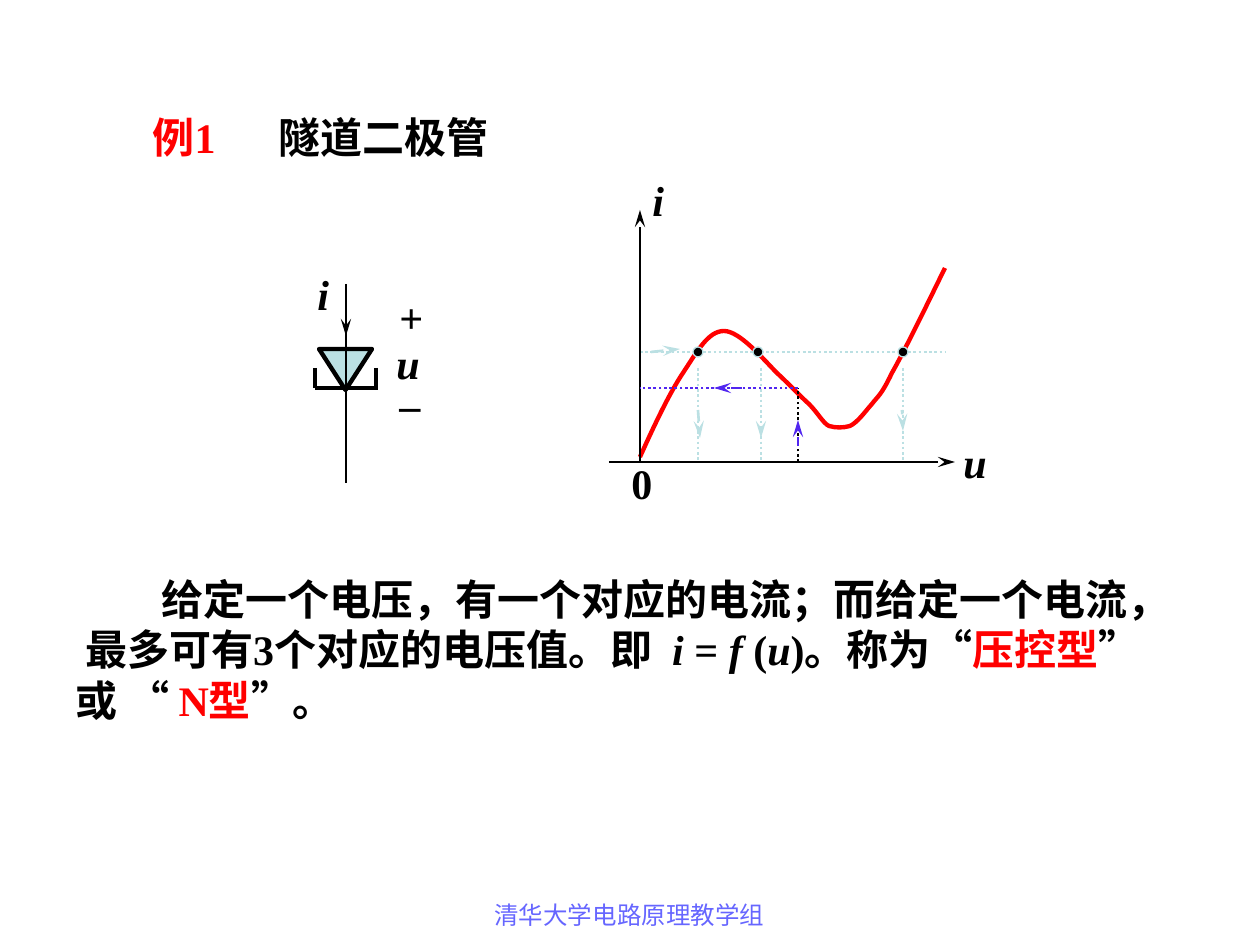
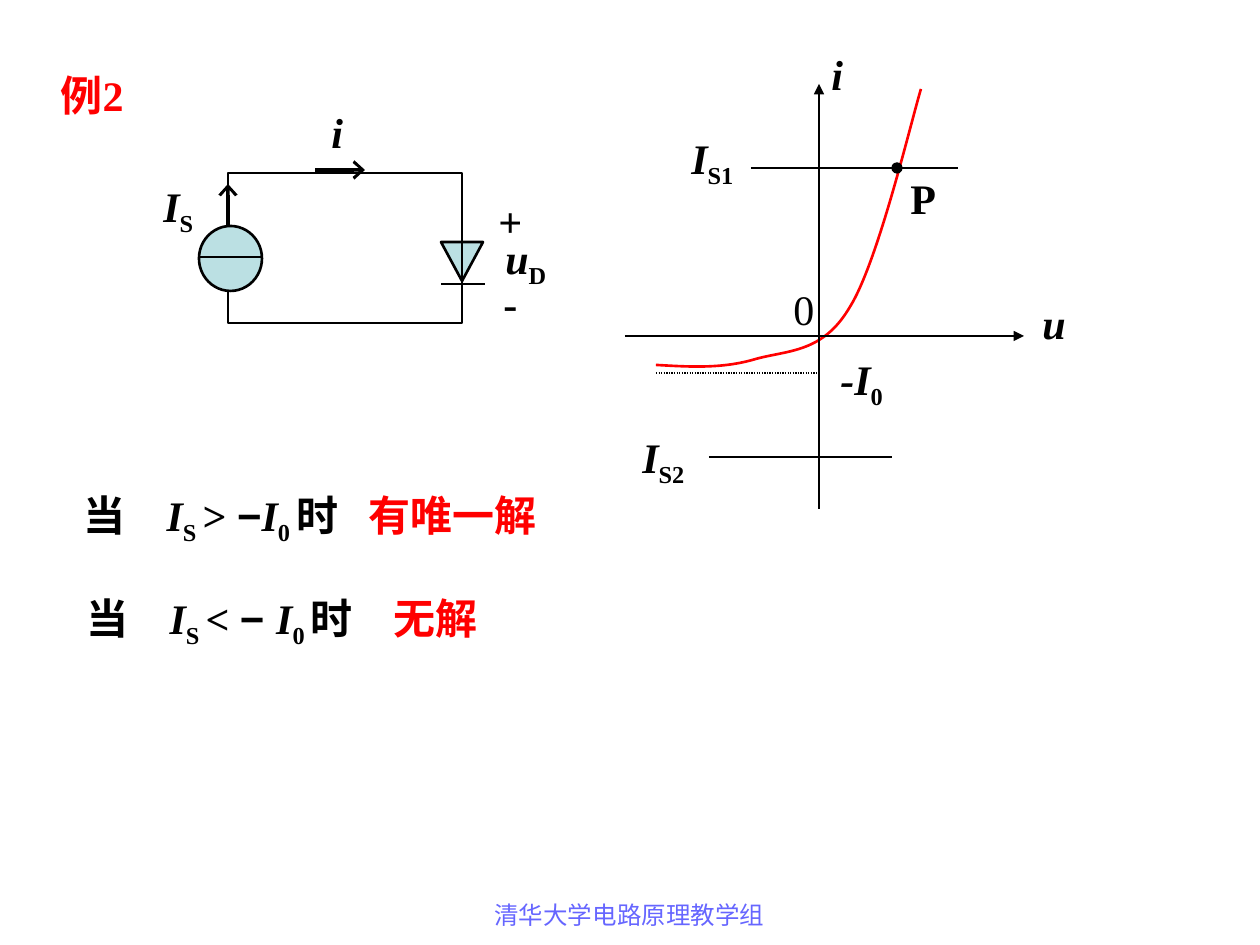
from lxml import etree
from pptx import Presentation
from pptx.dml.color import RGBColor
from pptx.enum.dml import MSO_LINE
from pptx.enum.shapes import MSO_CONNECTOR, MSO_SHAPE
from pptx.enum.text import MSO_ANCHOR, MSO_AUTO_SIZE, PP_ALIGN
from pptx.oxml.ns import qn
from pptx.util import Pt

PX = 914400 / 126
STRAIGHT = MSO_CONNECTOR.STRAIGHT
DOTTED = MSO_LINE.ROUND_DOT
TRIANGLE, OVAL, RECTANGLE = (
    MSO_SHAPE.ISOSCELES_TRIANGLE, MSO_SHAPE.OVAL, MSO_SHAPE.RECTANGLE)
LEFT, CENTER = PP_ALIGN.LEFT, PP_ALIGN.CENTER

BLACK, RED, TEAL, VIOLET, FOOTER_BLUE = "000000", "FF0000", "BBE0E3", "5126F0", "6666FF"
SERIF, SANS = "Times New Roman", "Arial"
FOOTER = "清华大学电路原理教学组"
FOOTER_BOX = (430, 894, 399, 50)
ARROWHEADS = {  # type: (width, length)
    "stealth": ("med", "lg"), "arrow": ("lg", "med"), "triangle": ("med", "med")}

# Runs are (text, style): i italic, s subscript, r red, a sans, n not bold;
# a number in place of a style widens the space by that many points.
# Lines are (from x, from y, to x, to y, colour, points, dotted, arrowhead).
# Shapes are (preset, left, top, width, height, fill, line colour, points, rotation).
TUNNEL_DIODE = {
    "title": {"box": (140, 105, 420, 63),
              "runs": [("例1", "r"), (" ", 30), ("隧道二极管", "")]},
    "body": {"box": (63, 567, 1144, 164), "paragraphs": [
        {"indent": 86, "runs": [
            ("给定一个电压，有一个对应的电流；而给定一个电流，", ""), ("\n", ""),
            (" 最多可有3个对应的电压值。即", ""), (" ", 6), ("i ", "i"), ("= ", ""),
            ("f ", "i"), ("(", ""), ("u", "i"), (")。称为“", ""), ("压控型", "r"),
            ("”", ""), ("\n", ""), ("或 “ ", ""), ("N型", "r"), ("”。", "")]}]},
    "shapes": [
        (TRIANGLE, 319, 349, 53, 41, TEAL, BLACK, 2.5, 180),
    ],
    "curve": ((640, 457), [
        ((654, 426), (669, 394), (683, 373)),
        ((697, 352), (708, 331), (724, 331)),
        ((740, 331), (764, 360), (777, 373)),
        ((791, 386), (800, 396), (809, 404)),
        ((818, 413), (823, 423), (829, 426)),
        ((836, 428), (843, 428), (850, 426)),
        ((858, 422), (864, 413), (872, 404)),
        ((878, 396), (881, 396), (892, 373)),
        ((905, 350), (925, 309), (945, 268))], 2.5),
    "lines": [
        (346, 284, 346, 483, BLACK, 1.5, False, None),
        (315, 388, 378, 388, BLACK, 2.5, False, None),
        (346, 294, 346, 336, BLACK, 1.5, False, "stealth"),
        (376, 368, 376, 388, BLACK, 2.5, False, None),
        (315, 368, 315, 388, BLACK, 2.5, False, None),
        (640, 352, 945, 352, TEAL, 1.5, True, None),
        (609, 462, 955, 462, BLACK, 1.5, False, "stealth"),
        (640, 462, 640, 210, BLACK, 1.5, False, "stealth"),
        (798, 462, 798, 388, BLACK, 1.5, True, None),
        (798, 388, 640, 388, VIOLET, 1.5, True, None),
        (798, 446, 798, 420, VIOLET, 1.5, False, "stealth"),
        (742, 388, 714, 388, VIOLET, 1.5, False, "stealth"),
        *[(x, 368, x, 462, TEAL, 1.5, True, None) for x in (698, 761, 903)],
        (651, 352, 680, 349, TEAL, 1.5, False, "stealth"),
        (698, 410, 700, 438, TEAL, 1.5, False, "stealth"),
        (761, 426, 761, 438, TEAL, 1.5, False, "stealth"),
        (902, 410, 903, 431, TEAL, 1.5, False, "stealth"),
    ],
    "points": [(698, 352, TEAL), (758, 352, TEAL), (903, 352, TEAL)],
    "labels": [
        (387, 285, 49, [("+", "")]),
        (387, 358, 45, [("_", "")]),
        (384, 331, 48, [("u", "i")]),
        (305, 262, 37, [("i", "i")]),
        (640, 168, 37, [("i", "i")]),
        (951, 430, 48, [("u", "i")]),
        (619, 451, 45, [("0", "")]),
    ],
}


def condition(sign, minus, result, gap, indent, space_before):
    return {"indent": indent, "space_before": space_before, "runs": [
        ("当", ""), (" ", 18), ("I", "i"), ("S ", "s"), (sign + " ", ""), (minus, "a"),
        ("I", "i"), ("0 ", "s"), ("时", ""), (" ", gap), (result, "r")]}


CURRENT_SOURCE = {
    "title": {"box": (48, 63, 118, 63), "runs": [("例2", "r")]},
    "body": {"box": (71, 483, 525, 173), "paragraphs": [
        condition(">", "−", "有唯一解", 12, 0, 0),
        condition("<", "− ", "无解", 18, 3, 26)]},
    "shapes": [
        (TRIANGLE, 441, 242, 42, 39, TEAL, BLACK, 1.5, 180),
        (RECTANGLE, 228, 173, 234, 150, None, BLACK, 1, 0),
        (OVAL, 199, 226, 63, 65, TEAL, BLACK, 1.5, 0),
    ],
    "curve": ((656, 365), [
        ((690, 367), (723, 369), (756, 359)),
        ((789, 350), (823, 353), (850, 307)),
        ((878, 262), (910, 126), (921, 89))], 1.5),
    "lines": [
        (441, 284, 485, 284, BLACK, 1.5, False, None),
        (315, 170, 365, 170, BLACK, 2, False, "arrow"),
        (199, 257, 262, 257, BLACK, 1, False, None),
        (228, 226, 228, 184, BLACK, 2, False, "arrow"),
        (656, 373, 819, 373, BLACK, 0.75, True, None),
        (751, 168, 958, 168, BLACK, 0.75, False, None),
        (709, 457, 892, 457, BLACK, 0.75, False, None),
        (625, 336, 1024, 336, BLACK, 1.5, False, "triangle"),
        (819, 509, 819, 84, BLACK, 1.5, False, "triangle"),
    ],
    "points": [(897, 168, BLACK)],
    "labels": [
        (319, 100, 37, [("i", "i")]),
        (486, 189, 49, [("+", "")]),
        (491, 271, 39, [("-", "")]),
        (493, 226, 66, [("u", "i"), ("D", "s")]),
        (151, 174, 54, [("I", "i"), ("S", "s")]),
        (828, 347, 68, [("-I", "i"), ("0", "s")]),
        (898, 166, 50, [("P", "")]),
        (679, 126, 67, [("I", "i"), ("S1", "s")]),
        (630, 425, 67, [("I", "i"), ("S2", "s")]),
        (1030, 291, 48, [("u", "i")]),
        (819, 42, 37, [("i", "i")]),
        (781, 277, 45, [("0", "n")]),
    ],
}


def emu(*lengths):
    return [round(length * PX) for length in lengths]


def color(hex_string):
    return RGBColor.from_string(hex_string)


def place(shape, box):
    shape.left, shape.top, shape.width, shape.height = emu(*box)


def add_run(paragraph, text, style):
    run = paragraph.add_run()
    run.text = text
    properties = run._r.get_or_add_rPr()
    if not isinstance(style, str):
        properties.set("spc", str(style * 100))
        style = ""
    font = run.font
    font.size = Pt(24)
    font.name = SANS if "a" in style else SERIF
    font.bold = "n" not in style
    font.italic = "i" in style
    font.color.rgb = color(RED if "r" in style else BLACK)
    if "s" in style:
        properties.set("baseline", "-25000")


def write(paragraph, runs, indent=0, space_before=0):
    """Fill one paragraph; indent is px, space_before is points."""
    properties = paragraph._p.get_or_add_pPr()
    properties.set("marL", "0")
    properties.set("indent", str(emu(indent)[0]))
    etree.SubElement(properties, qn("a:buNone"))
    paragraph.alignment = LEFT
    paragraph.line_spacing = 1.0
    paragraph.space_before = Pt(space_before)
    for text, style in runs:
        if text == "\n":
            paragraph.add_line_break()
        else:
            add_run(paragraph, text, style)


def prepare_frame(shape, wrap):
    frame = shape.text_frame
    frame.word_wrap = wrap
    frame.auto_size = MSO_AUTO_SIZE.NONE
    frame.vertical_anchor = MSO_ANCHOR.TOP
    return frame


def add_title(slide, box, runs):
    place(slide.shapes.title, box)
    write(prepare_frame(slide.shapes.title, False).paragraphs[0], runs)


def add_body(slide, box, paragraphs):
    body = slide.placeholders[1]
    place(body, box)
    frame = prepare_frame(body, True)
    for index, content in enumerate(paragraphs):
        write(frame.add_paragraph() if index else frame.paragraphs[0], **content)


def add_label(slide, left, top, width, runs):
    box = slide.shapes.add_textbox(*emu(left, top, width, 63))
    write(prepare_frame(box, False).paragraphs[0], runs)


def add_footer(slide):
    box = slide.shapes.add_textbox(*emu(*FOOTER_BOX))
    paragraph = prepare_frame(box, True).paragraphs[0]
    paragraph.alignment = CENTER
    run = paragraph.add_run()
    run.text = FOOTER
    run.font.size = Pt(14)
    run.font.name = SANS
    run.font.color.rgb = color(FOOTER_BLUE)


def paint(shape, fill, line, points):
    shape.shadow.inherit = False
    if fill:
        shape.fill.solid()
        shape.fill.fore_color.rgb = color(fill)
    else:
        shape.fill.background()
    shape.line.color.rgb = color(line)
    shape.line.width = Pt(points)


def add_preset(slide, preset, left, top, width, height, fill, line, points, rotation=0):
    shape = slide.shapes.add_shape(preset, *emu(left, top, width, height))
    shape.rotation = rotation
    paint(shape, fill, line, points)


def add_line(slide, x1, y1, x2, y2, line, points, dotted, arrowhead):
    connector = slide.shapes.add_connector(STRAIGHT, *emu(x1, y1, x2, y2))
    connector.line.color.rgb = color(line)
    connector.line.width = Pt(points)
    if dotted:
        connector.line.dash_style = DOTTED
    if arrowhead:
        width, length = ARROWHEADS[arrowhead]
        etree.SubElement(connector.line._get_or_add_ln(), qn("a:tailEnd"),
                         type=arrowhead, w=width, len=length)
    etree.SubElement(connector._element.spPr, qn("a:effectLst"))


def add_curve(slide, start, segments, points):
    """Draw joined cubic Bézier segments, each (control, control, end)."""
    builder = slide.shapes.build_freeform(*emu(*start))
    builder.add_line_segments(
        [emu(*point) for segment in segments for point in segment], close=False)
    shape = builder.convert_to_shape()
    outline = shape._element.spPr.find(".//" + qn("a:path"))
    straights = outline.findall(qn("a:lnTo"))
    for first in range(0, len(straights), 3):
        bezier = etree.SubElement(outline, qn("a:cubicBezTo"))
        for straight in straights[first:first + 3]:
            bezier.append(straight[0])
            outline.remove(straight)
    paint(shape, None, RED, points)


def add_slide(presentation, content):
    slide = presentation.slides.add_slide(presentation.slide_layouts[1])
    add_title(slide, **content["title"])
    add_body(slide, **content["body"])
    for shape in content["shapes"]:
        add_preset(slide, *shape)
    add_curve(slide, *content["curve"])
    for line in content["lines"]:
        add_line(slide, *line)
    for x, y, outline in content["points"]:
        add_preset(slide, OVAL, x - 5, y - 5, 10, 10, BLACK, outline, 0.75)
    for label in content["labels"]:
        add_label(slide, *label)
    add_footer(slide)


def main():
    presentation = Presentation()
    presentation.slide_width, presentation.slide_height = emu(1260, 945)
    for content in (TUNNEL_DIODE, CURRENT_SOURCE):
        add_slide(presentation, content)
    presentation.save("out.pptx")


if __name__ == "__main__":
    main()
